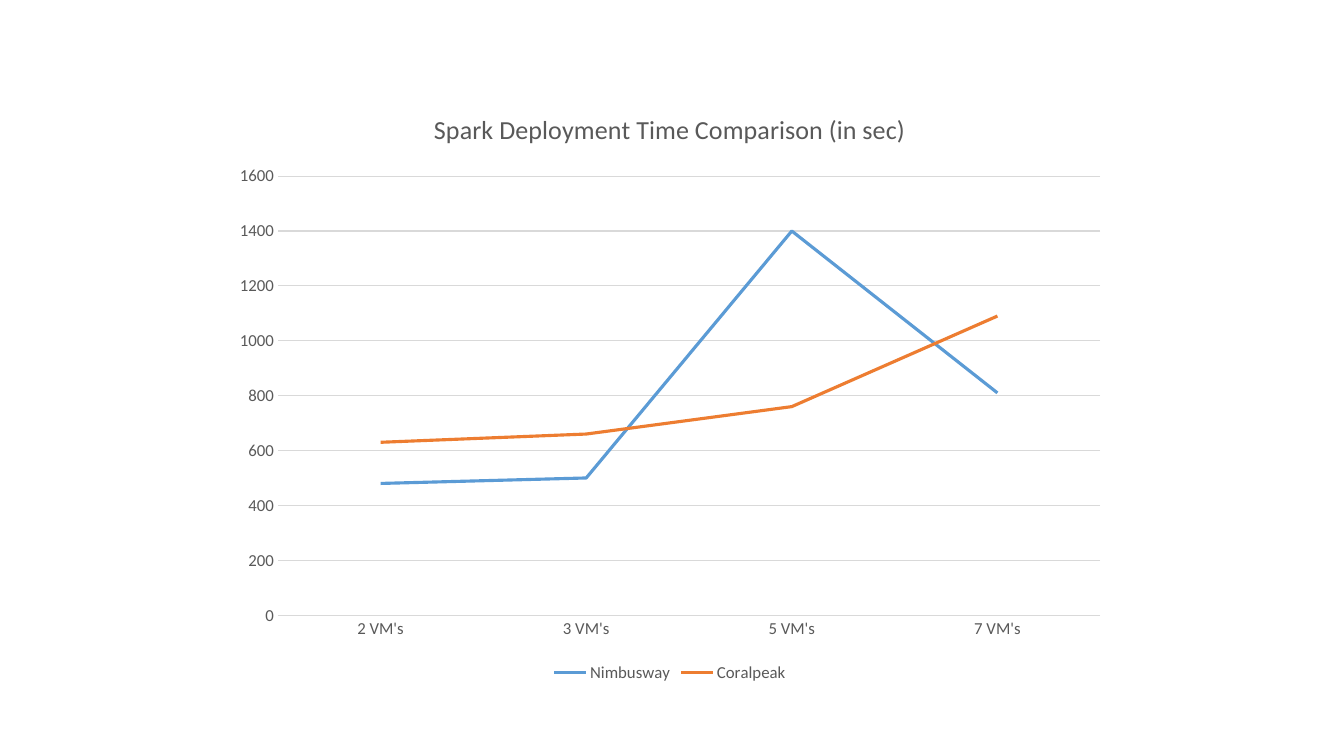
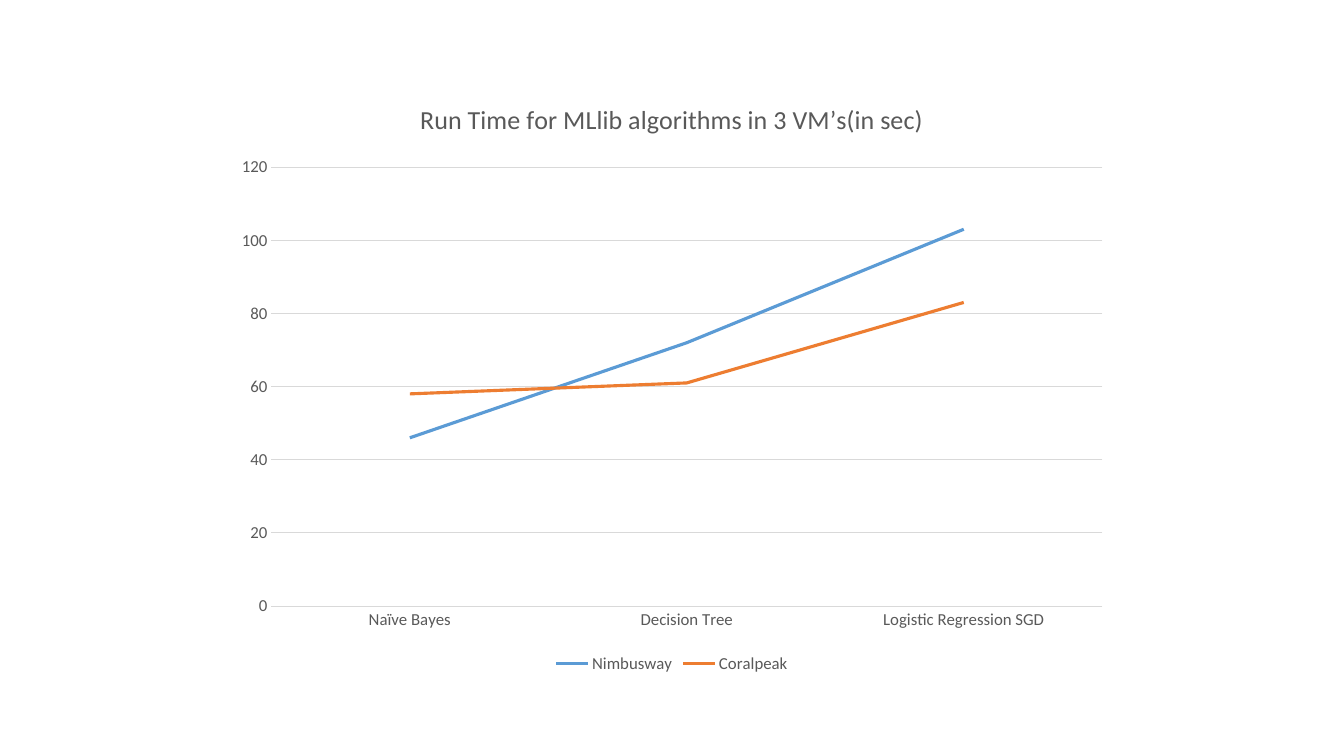
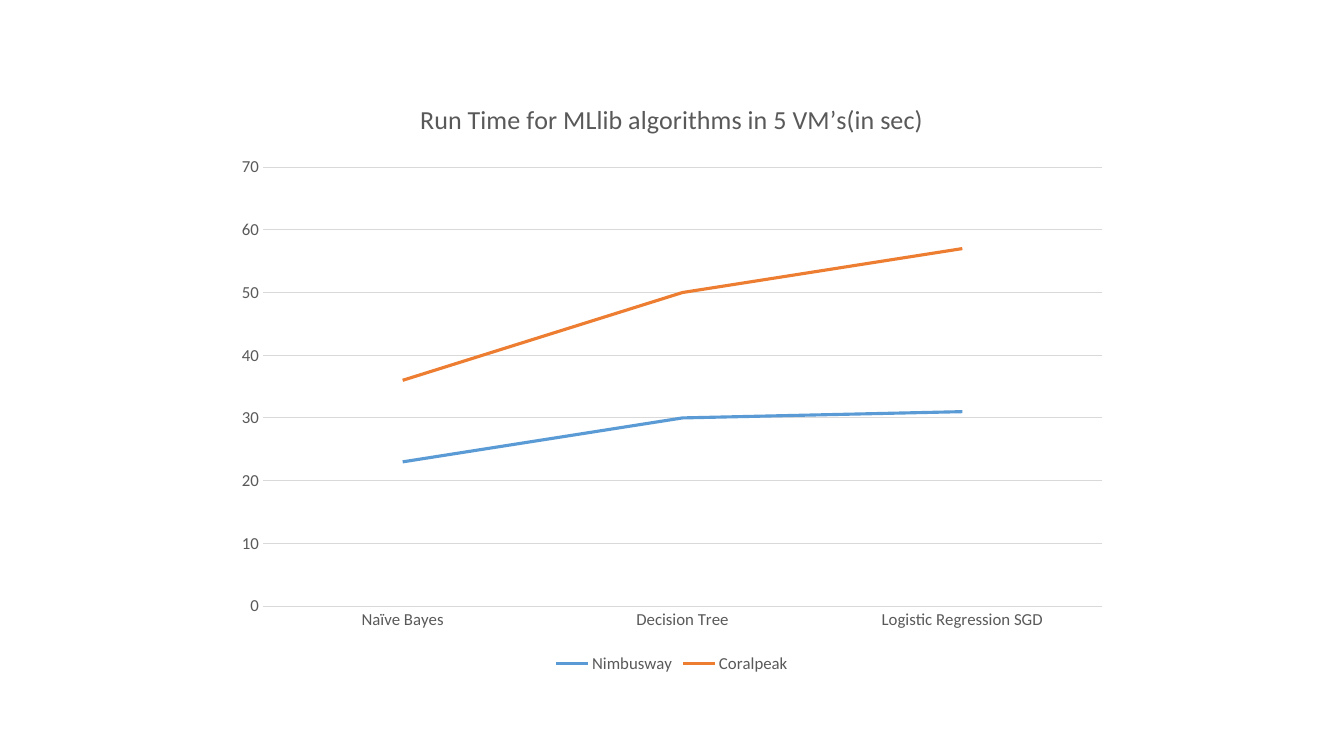
from pptx import Presentation
from pptx.chart.data import CategoryChartData
from pptx.dml.color import RGBColor
from pptx.enum.chart import XL_CHART_TYPE, XL_LEGEND_POSITION, XL_MARKER_STYLE, XL_TICK_MARK
from pptx.util import Inches, Pt

LINE_CHART = XL_CHART_TYPE.LINE
LEGEND_BOTTOM = XL_LEGEND_POSITION.BOTTOM
NO_MARKER = XL_MARKER_STYLE.NONE
NO_TICK = XL_TICK_MARK.NONE

FONT = "Calibri"
COLORS = {
    "text": "595959",
    "grid": "D9D9D9",
    "first cloud": "5B9BD5",
    "second cloud": "ED7D31",
}
CLOUDS = [("Nimbusway", "first cloud"), ("Coralpeak", "second cloud")]
ALGORITHMS = ["Naïve Bayes", "Decision Tree", "Logistic Regression SGD"]
CHART_SIZE = (8.89, 5.93)
RUN_TIME_POSITION = (2.22, 0.79)

CHARTS = [
    {
        "title": "Spark Deployment Time Comparison (in sec)",
        "position": (2.2, 0.88),
        "categories": ["2 VM's", "3 VM's", "5 VM's", "7 VM's"],
        "values": [(480, 500, 1400, 810), (630, 660, 760, 1090)],
        "maximum": 1600,
        "step": 200,
    },
    {
        "title": "Run Time for MLlib algorithms in 3 VM’s(in sec)",
        "position": RUN_TIME_POSITION,
        "categories": ALGORITHMS,
        "values": [(46, 72, 103), (58, 61, 83)],
        "maximum": 120,
        "step": 20,
    },
    {
        "title": "Run Time for MLlib algorithms in 5 VM’s(in sec)",
        "position": RUN_TIME_POSITION,
        "categories": ALGORITHMS,
        "values": [(23, 30, 31), (36, 50, 57)],
        "maximum": 70,
        "step": 10,
    },
]


def style_font(font, size=12, color="text", bold=False):
    """Give a font the shared typeface, with a size, colour and weight."""
    font.name = FONT
    font.size = Pt(size)
    font.bold = bold
    font.color.rgb = RGBColor.from_string(COLORS[color])


def set_text(text_frame, text, **font_format):
    """Write one paragraph of formatted text."""
    run = text_frame.paragraphs[0].add_run()
    run.text = text
    style_font(run.font, **font_format)


def style_line(line, color, width):
    """Set the colour and width in points of a line."""
    line.color.rgb = RGBColor.from_string(COLORS[color])
    line.width = Pt(width)


def style_axes(chart, maximum, step):
    """Format both axes, the gridlines and the value scale."""
    for axis in (chart.category_axis, chart.value_axis):
        axis.major_tick_mark = NO_TICK
        axis.minor_tick_mark = NO_TICK
        style_font(axis.tick_labels.font)
    style_line(chart.category_axis.format.line, "grid", 0.75)

    value_axis = chart.value_axis
    value_axis.minimum_scale = 0
    value_axis.maximum_scale = maximum
    value_axis.major_unit = step
    value_axis.format.line.fill.background()
    style_line(value_axis.major_gridlines.format.line, "grid", 0.75)


def style_series(chart):
    """Draw each cloud as a straight line without markers."""
    chart.plots[0].vary_by_categories = False
    for series, (_, color) in zip(chart.plots[0].series, CLOUDS):
        series.smooth = False
        series.marker.style = NO_MARKER
        style_line(series.format.line, color, 2.25)


def add_legend(chart):
    """Place the legend below the plot."""
    chart.has_legend = True
    chart.legend.position = LEGEND_BOTTOM
    chart.legend.include_in_layout = False
    style_font(chart.legend.font)


def add_line_chart(slide, title, position, categories, values, maximum, step):
    """Add a titled line chart that compares the clouds."""
    chart_data = CategoryChartData()
    chart_data.categories = categories
    for (name, _), series_values in zip(CLOUDS, values):
        chart_data.add_series(name, series_values)

    left, top, width, height = map(Inches, position + CHART_SIZE)
    chart = slide.shapes.add_chart(LINE_CHART, left, top, width, height, chart_data).chart
    chart.has_title = True
    set_text(chart.chart_title.text_frame, title, size=18.6)
    chart.chart_title.include_in_layout = False
    style_axes(chart, maximum, step)
    style_series(chart)
    add_legend(chart)


def main():
    """Build one slide for each chart and save the presentation."""
    presentation = Presentation()
    presentation.slide_width = Inches(13.33)
    presentation.slide_height = Inches(7.5)
    blank_layout = presentation.slide_layouts.get_by_name("Blank")
    for chart_content in CHARTS:
        slide = presentation.slides.add_slide(blank_layout)
        add_line_chart(slide, **chart_content)
    presentation.save("out.pptx")


main()
